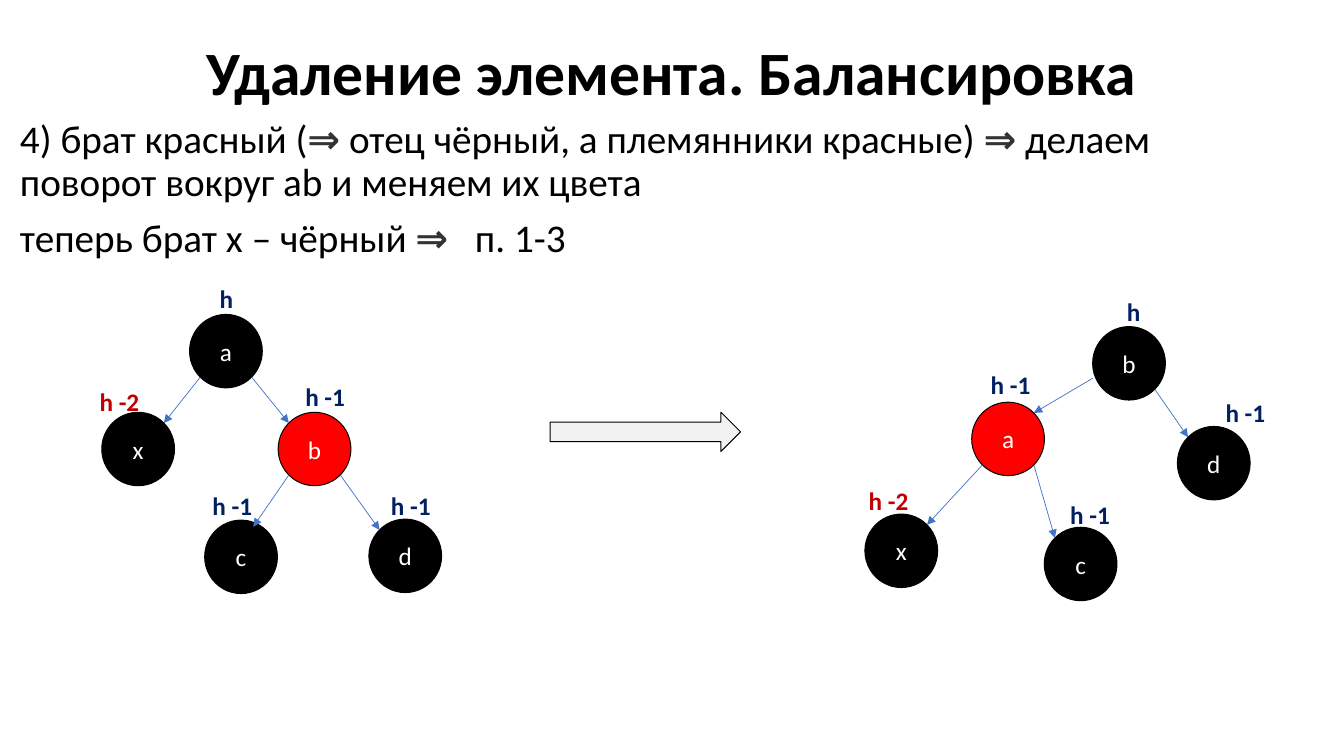
from math import sqrt

from lxml import etree
from pptx import Presentation
from pptx.dml.color import RGBColor
from pptx.enum.shapes import MSO_CONNECTOR, MSO_SHAPE
from pptx.enum.text import MSO_ANCHOR, PP_ALIGN
from pptx.oxml.ns import qn
from pptx.util import Pt

STRAIGHT = MSO_CONNECTOR.STRAIGHT
CIRCLE, RIGHT_ARROW = MSO_SHAPE.OVAL, MSO_SHAPE.RIGHT_ARROW
TOP, MIDDLE = MSO_ANCHOR.TOP, MSO_ANCHOR.MIDDLE
LEFT, CENTER = PP_ALIGN.LEFT, PP_ALIGN.CENTER

BLACK, RED, WHITE = "000000", "FF0000", "FFFFFF"
NAVY, DARK_RED, BLUE, GRAY = "002060", "C00000", "4472C4", "333333"

TITLE = "Удаление элемента. Балансировка"
IMPLIES = "⇒"
BODY = [
    ["4) брат красный (", IMPLIES, " отец чёрный, а племянники красные) ", IMPLIES,
     " делаем поворот вокруг ab и меняем их цвета"],
    ["теперь брат x – чёрный ", IMPLIES, "\tп. 1-3"],
]
CONCLUSION_TAB = 325

# Nodes: name: (left, top, fill, height label, label left, label top)
# Edges: (parent, child, shift of the start, shift of the end)
STILL = (0, 0)
TREES = [
    {
        "nodes": {
            "a": (135.4, 224.6, BLACK, "h", 149.8, 198.7),
            "c": (146.2, 371.5, BLACK, "h -1", 144.7, 347),
            "x": (72.7, 294.5, BLACK, "h -2", 64.1, 272.2),
            "b": (198.7, 294.5, RED, "h -1", 211, 268.6),
            "d": (263.5, 370.8, BLACK, "h -1", 272.2, 347),
        },
        "edges": [("a", "x", STILL, STILL), ("a", "b", STILL, STILL),
                  ("b", "c", STILL, (-9.7, -2.9)), ("b", "d", STILL, STILL)],
    },
    {
        "nodes": {
            "b": (780.5, 233.3, BLACK, "h", 797.8, 208.1),
            "a": (694.1, 287.3, RED, "h -1", 700.6, 260.6),
            "c": (745.9, 376.6, BLACK, "h -1", 757.4, 352.8),
            "d": (841, 304.6, BLACK, "h -1", 868.3, 280.1),
            "x": (617.8, 367.2, BLACK, "h -2", 613.4, 343.4),
        },
        "edges": [("b", "a", (-7.6, -7.9), STILL), ("a", "x", STILL, STILL),
                  ("a", "c", STILL, STILL), ("b", "d", STILL, STILL)],
    },
]
NODE_WIDTH, NODE_HEIGHT = 52, 52.5
LABEL_WIDTHS = {"h": 33, "h -1": 52, "h -2": 52}
LABEL_HEIGHT = 29


def color(code):
    return RGBColor.from_string(code)


def add_span(para, text, size, code, bold=False, font="Calibri"):
    span = para.add_run()
    span.text = text
    span.font.name, span.font.size, span.font.bold = font, Pt(size), bold
    span.font.color.rgb = color(code)


def add_box(page, left, top, width, height, anchor=TOP):
    box = page.shapes.add_textbox(Pt(left), Pt(top), Pt(width), Pt(height))
    box.text_frame.word_wrap = True
    box.text_frame.vertical_anchor = anchor
    return box.text_frame


def add_figure(page, kind, left, top, width, height, fill):
    figure = page.shapes.add_shape(kind, Pt(left), Pt(top), Pt(width), Pt(height))
    figure.shadow.inherit = False
    figure.fill.solid()
    figure.fill.fore_color.rgb = color(fill)
    figure.line.color.rgb = color(BLACK)
    figure.line.width = Pt(0.71)
    return figure


def add_title(page):
    para = add_box(page, 66, 1.5, 828, 104.4, MIDDLE).paragraphs[0]
    para.alignment = CENTER
    para.line_spacing = 0.9
    add_span(para, TITLE, 44, BLACK, bold=True)


def add_body(page):
    frame = add_box(page, 7.2, 82, 908, 167)
    for index, parts in enumerate(BODY):
        para = frame.add_paragraph() if index else frame.paragraphs[0]
        para.alignment = LEFT
        para.line_spacing = 0.9
        para.space_before = Pt(10)
        for part in parts:
            if part == IMPLIES:
                add_span(para, part, 28, GRAY, bold=True, font="Lato")
            else:
                add_span(para, part, 28, BLACK)
    tabs = etree.SubElement(para._p.get_or_add_pPr(), qn("a:tabLst"))
    etree.SubElement(tabs, qn("a:tab"), pos=str(Pt(CONCLUSION_TAB)), algn="l")


def add_node(page, name, left, top, fill):
    node = add_figure(page, CIRCLE, left, top, NODE_WIDTH, NODE_HEIGHT, fill)
    node.text_frame.vertical_anchor = MIDDLE
    para = node.text_frame.paragraphs[0]
    para.alignment = CENTER
    add_span(para, name, 18, WHITE)


def rim_point(node, side, level, shift):
    """Point on the circle's diagonal: side -1 left, 1 right; level -1 top, 1 bottom."""
    x = node[0] + NODE_WIDTH / 2 * (1 + side / sqrt(2)) + shift[0]
    y = node[1] + NODE_HEIGHT / 2 * (1 + level / sqrt(2)) + shift[1]
    return Pt(x), Pt(y)


def add_edge(page, parent, child, start_shift, end_shift):
    side = 1 if child[0] > parent[0] else -1
    start = rim_point(parent, side, 1, start_shift)
    end = rim_point(child, -side, -1, end_shift)
    edge = page.shapes.add_connector(STRAIGHT, *start, *end)
    edge.line.color.rgb = color(BLUE)
    edge.line.width = Pt(0.5)
    etree.SubElement(edge.line._get_or_add_ln(), qn("a:tailEnd"), type="triangle")
    etree.SubElement(edge._element.spPr, qn("a:effectLst"))


def add_tree(page, nodes, edges):
    for name, (left, top, fill, *_) in nodes.items():
        add_node(page, name, left, top, fill)
    for parent, child, start_shift, end_shift in edges:
        add_edge(page, nodes[parent], nodes[child], start_shift, end_shift)
    for *_, label, left, top in nodes.values():
        frame = add_box(page, left, top, LABEL_WIDTHS[label], LABEL_HEIGHT)
        code = DARK_RED if label == "h -2" else NAVY
        add_span(frame.paragraphs[0], label, 18, code, bold=True)


def add_rotation_arrow(page):
    arrow = add_figure(page, RIGHT_ARROW, 393, 294.5, 136, 28, BLACK)
    fill = arrow._element.spPr.find(qn("a:solidFill"))
    etree.SubElement(fill[0], qn("a:alpha"), val="5000")


def main():
    deck = Presentation()
    deck.slide_width, deck.slide_height = Pt(960), Pt(540)
    page = deck.slides.add_slide(deck.slide_layouts[6])
    add_body(page)
    add_title(page)
    add_rotation_arrow(page)
    for tree in TREES:
        add_tree(page, **tree)
    deck.save("out.pptx")


if __name__ == "__main__":
    main()
